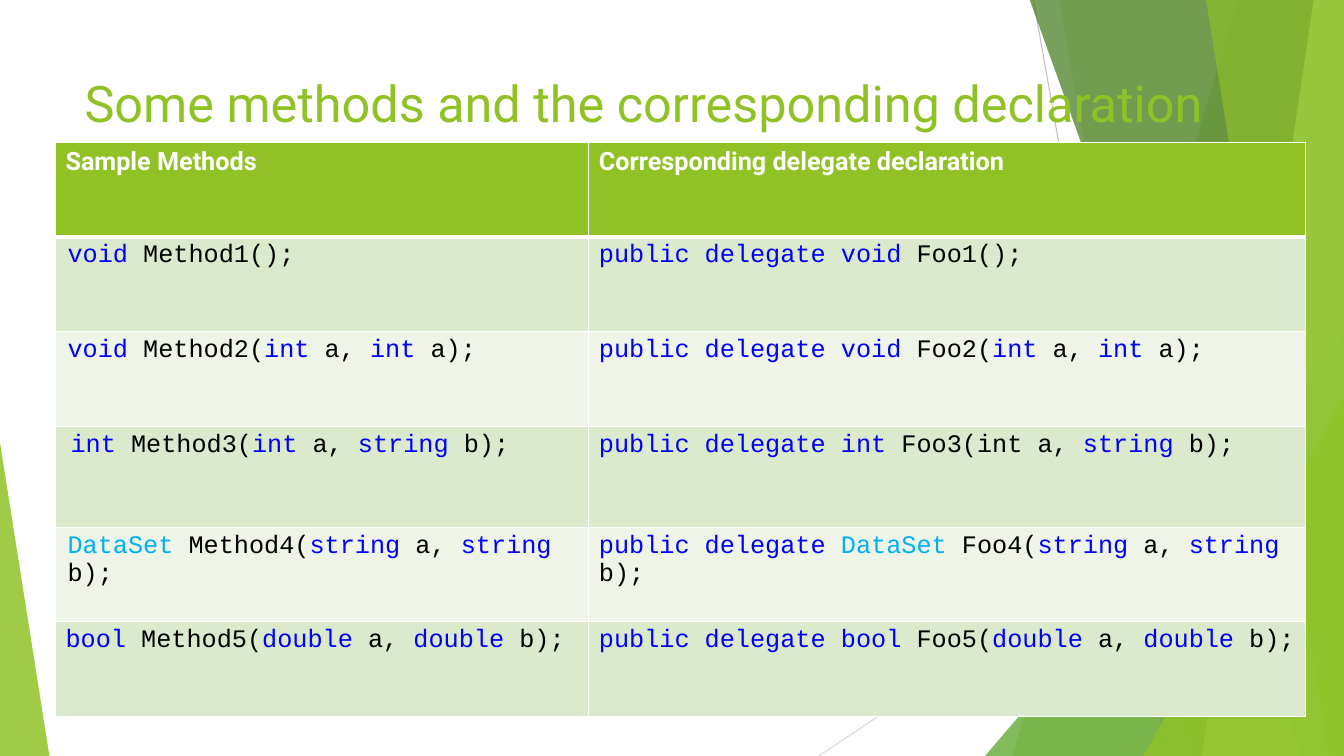
from lxml import etree
from pptx import Presentation
from pptx import util as u
from pptx.dml.color import RGBColor
from pptx.enum import shapes, text
from pptx.oxml.ns import qn

COLORS = {
    "green": "90C226", "leaf": "54A021", "forest": "3F7819", "lime": "C0E474",
    "gray": "BFBFBF", "light_gray": "D9D9D9", "white": "FFFFFF",
    "band_dark": "DBE9CD", "band_light": "EEF4E8",
    "keyword": "0000FF", "type": "00B0F0", "code": "000000",
}
SLIDE_W, SLIDE_H = 13.33, 7.5
TITLE = "Some methods and the corresponding declaration"
HEADINGS = ["Sample Methods", "Corresponding delegate declaration"]
COLUMN_WIDTHS = [5.29, 7.11]
ROW_HEIGHTS = [0.94, 0.94, 0.94, 1, 0.94, 0.94]
# Left indent, method, delegate; highlighted words stand between asterisks.
DECLARATIONS = [
    (0.02, "*void* Method1();", "*public delegate void* Foo1();"),
    (0.02, "*void* Method2(*int* a, *int* a);",
     "*public delegate void* Foo2(*int* a, *int* a);"),
    (0.05, "*int* Method3(*int* a, *string* b);",
     "*public delegate int* Foo3(int a, *string* b);"),
    (0.02, "*DataSet* Method4(*string* a, *string* b);",
     "*public delegate* *DataSet* Foo4(*string* a, *string* b);"),
    (0, "*bool* Method5(*double* a, *double* b);",
     "*public delegate bool* Foo5(*double* a, *double* b);"),
]


def rgb(color):
    return RGBColor.from_string(COLORS[color])


def style_facet(facet, color, opacity):
    """Fill a background facet with a see-through colour and no outline."""
    facet.shadow.inherit = False
    facet.line.fill.background()
    facet.fill.solid()
    facet.fill.fore_color.rgb = rgb(color)
    tint = facet.fill._xPr.find(".//" + qn("a:srgbClr"))
    etree.SubElement(tint, qn("a:alpha"), val=str(opacity * 1000))


def add_right_facet(slide, top_x, bottom_x, color, opacity):
    """Add a facet whose slanted left edge runs to the slide's right edge."""
    corners = [(top_x, -0.01), (SLIDE_W, -0.01), (SLIDE_W, SLIDE_H), (bottom_x, SLIDE_H)]
    start, *others = [(u.Inches(x), u.Inches(y)) for x, y in corners]
    outline = slide.shapes.build_freeform(*start)
    outline.add_line_segments(others, close=True)
    style_facet(outline.convert_to_shape(), color, opacity)


def add_corner_triangle(slide, left, top, width, apex, color, opacity):
    """Add a triangle standing on the slide's bottom edge."""
    triangle = slide.shapes.add_shape(
        shapes.MSO_SHAPE.ISOSCELES_TRIANGLE, u.Inches(left), u.Inches(top),
        u.Inches(width), u.Inches(SLIDE_H - top))
    triangle.adjustments[0] = apex
    style_facet(triangle, color, opacity)


def add_thin_line(slide, x1, y1, x2, y2, color):
    line = slide.shapes.add_connector(
        shapes.MSO_CONNECTOR.STRAIGHT, *map(u.Inches, (x1, y1, x2, y2)))
    line.line.color.rgb = rgb(color)
    line.line.width = u.Pt(0.75)
    etree.SubElement(line._element.spPr, qn("a:effectLst"))


def add_background(slide):
    add_thin_line(slide, 10.25, 0, 11.58, SLIDE_H, "gray")
    add_thin_line(slide, SLIDE_W, 4.03, 8.12, SLIDE_H, "light_gray")
    add_right_facet(slide, 12.28, 10.04, "green", 30)
    add_right_facet(slide, 10.5, 11.83, "green", 20)
    add_corner_triangle(slide, 9.77, 3.33, 3.56, 1, "leaf", 72)
    add_right_facet(slide, 10.21, 12.91, "forest", 70)
    add_right_facet(slide, 13.03, 11.92, "lime", 70)
    add_right_facet(slide, 11.96, 13.18, "green", 65)
    add_corner_triangle(slide, 11.34, 3.93, 1.99, 1, "green", 80)
    add_corner_triangle(slide, 0, 4.39, 0.49, 0, "green", 85)


def format_run(run, font, size, color, bold=False):
    run.font.name = font
    run.font.size = u.Pt(size)
    run.font.bold = bold
    run.font.color.rgb = rgb(color)


def add_title(slide):
    title = slide.shapes.add_textbox(
        u.Inches(0.74), u.Inches(0.67), u.Inches(12.21), u.Inches(1.44))
    frame = title.text_frame
    frame.word_wrap = True
    frame.vertical_anchor = text.MSO_ANCHOR.TOP
    frame.text = TITLE
    format_run(frame.paragraphs[0].runs[0], "Roboto", 36, "green")


def style_cell(cell, color, top=1, bottom=1):
    """Fill a cell and give it white borders; top and bottom are in points."""
    cell.fill.solid()
    cell.fill.fore_color.rgb = rgb(color)
    properties = cell._tc.get_or_add_tcPr()
    borders = {"a:lnL": 1, "a:lnR": 1, "a:lnT": top, "a:lnB": bottom}
    for position, (side, width) in enumerate(borders.items()):
        border = etree.Element(qn(side), w=str(u.Pt(width)))
        fill = etree.SubElement(border, qn("a:solidFill"))
        etree.SubElement(fill, qn("a:srgbClr"), val=COLORS["white"])
        properties.insert(position, border)


def write_code(cell, code, indent=0):
    """Write code, colouring the parts between asterisks."""
    paragraph = cell.text_frame.paragraphs[0]
    if indent:
        paragraph._p.get_or_add_pPr().set("marL", str(u.Inches(indent)))
    for index, part in enumerate(code.split("*")):
        if not part:
            continue
        run = paragraph.add_run()
        run.text = part
        highlight = "type" if part == "DataSet" else "keyword"
        format_run(run, "Courier New", 18, highlight if index % 2 else "code")


def add_declaration_table(slide):
    table = slide.shapes.add_table(
        len(ROW_HEIGHTS), len(COLUMN_WIDTHS), u.Inches(0.55), u.Inches(1.41),
        u.Inches(sum(COLUMN_WIDTHS)), u.Inches(sum(ROW_HEIGHTS))).table
    for column, width in zip(table.columns, COLUMN_WIDTHS):
        column.width = u.Inches(width)
    for row, height in zip(table.rows, ROW_HEIGHTS):
        row.height = u.Inches(height)

    for cell, heading in zip(table.rows[0].cells, HEADINGS):
        cell.text_frame.text = heading
        format_run(cell.text_frame.paragraphs[0].runs[0], "Roboto", 18, "white", True)
        style_cell(cell, "green", bottom=3)

    for number, (indent, method, delegate) in enumerate(DECLARATIONS, start=1):
        method_cell, delegate_cell = table.rows[number].cells
        write_code(method_cell, method, indent)
        write_code(delegate_cell, delegate)
        for cell in (method_cell, delegate_cell):
            style_cell(cell, "band_dark" if number % 2 else "band_light",
                       top=3 if number == 1 else 1)


def main():
    deck = Presentation()
    deck.slide_width = u.Inches(SLIDE_W)
    deck.slide_height = u.Inches(SLIDE_H)
    slide = deck.slides.add_slide(deck.slide_layouts[6])
    add_background(slide)
    add_title(slide)
    add_declaration_table(slide)
    deck.save("out.pptx")


if __name__ == "__main__":
    main()
